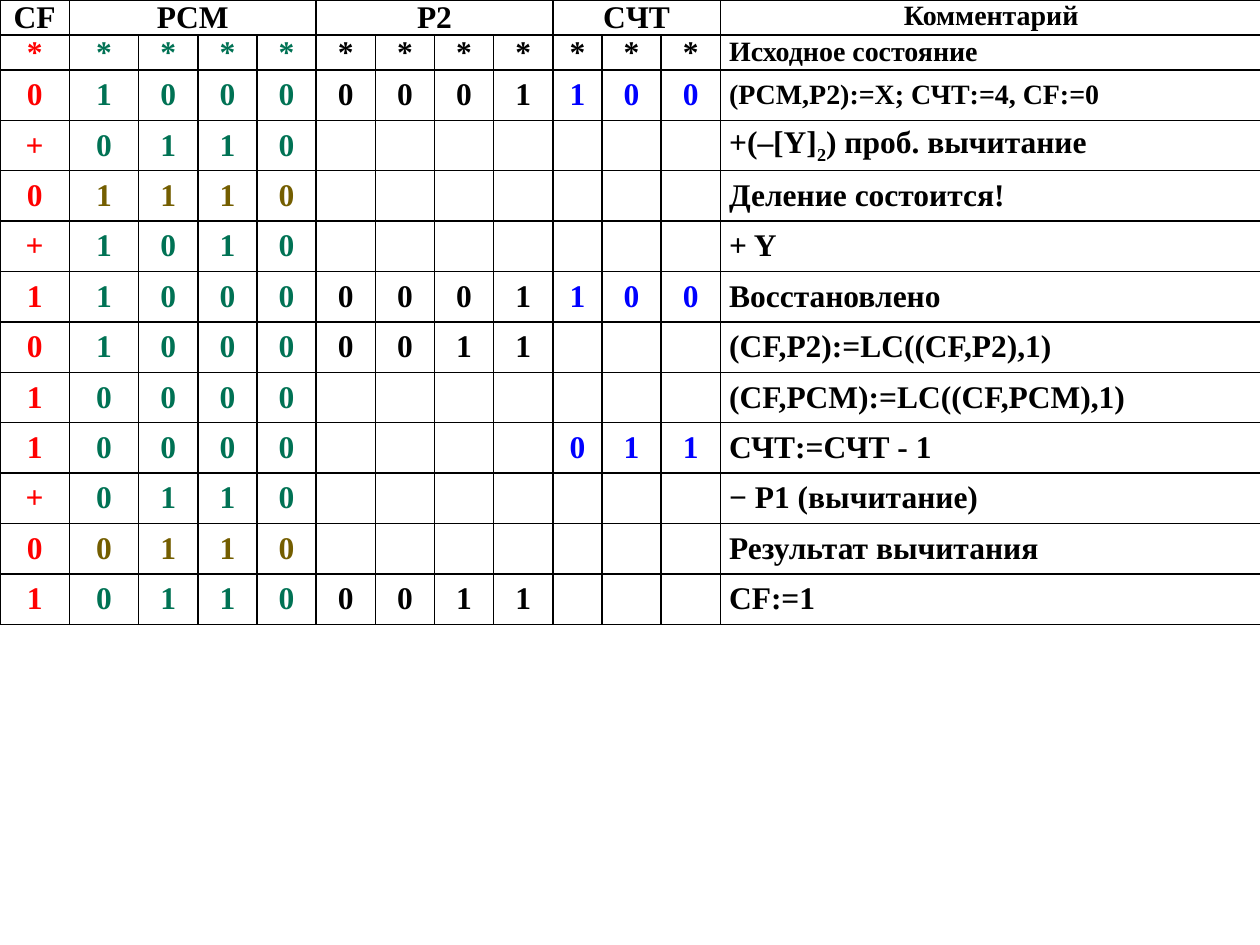
"""Build a slide tracing binary division register by register in one table."""
from lxml import etree
from pptx import Presentation
from pptx.dml.color import RGBColor
from pptx.enum.text import MSO_ANCHOR, PP_ALIGN
from pptx.oxml.ns import qn
from pptx.util import Inches, Pt

CENTER, LEFT = PP_ALIGN.CENTER, PP_ALIGN.LEFT
TOP, MIDDLE = MSO_ANCHOR.TOP, MSO_ANCHOR.MIDDLE
FONT = "Times New Roman"
COLORS = {
    "black": "000000",
    "red": "FF0000",
    "green": "007254",
    "brown": "745E00",
    "blue": "0000FF",
}
HEADS = [(0, 1, "CF"), (1, 4, "PCM"), (5, 4, "P2"), (9, 3, "CЧТ"), (12, 1, "Комментарий")]
STEPS = [
    ("************", "Исходное состояние"),
    ("010000001100", "(РСМ,Р2):=Х; СЧТ:=4, CF:=0"),
    ("+0110", "+(–[Y]|2|) проб. вычитание"),
    ("01110", "Деление состоится!"),
    ("+1010", "+ Y"),
    ("110000001100", "Восстановлено"),
    ("010000011", "(CF,P2):=LC((CF,P2),1)"),
    ("10000", "(CF,PСМ):=LC((CF,PСМ),1)"),
    ("10000    011", "СЧТ:=СЧТ - 1"),
    ("+0110", "− Р1 (вычитание)"),
    ("00110", "Результат вычитания"),
    ("101100011", "CF:=1"),
]
SUMS = (4, 11)
WIDTHS = [0.55, 0.55] + [0.47] * 7 + [0.39, 0.47, 0.47, 4.3]
HEIGHTS = [0.27] * 2 + [0.4] * 11


def write(cell, text, color="black", size=18, align=CENTER, anchor=MIDDLE):
    cell.vertical_anchor = anchor
    para = cell.text_frame.paragraphs[0]
    para.alignment = align
    para.space_after = Pt(1)
    for i, part in enumerate(text.split("|")):
        run = para.add_run()
        run.text = part
        run.font.name = FONT
        run.font.size = Pt(size)
        run.font.bold = True
        run.font.color.rgb = RGBColor.from_string(COLORS[color])
        if i % 2:
            run._r.get_or_add_rPr().set("baseline", "-25000")


def frame(cell):
    cell.margin_left = cell.margin_right = Inches(0.07)
    cell.margin_top = cell.margin_bottom = 0
    cell.fill.background()
    props = cell._tc.get_or_add_tcPr()
    for i, side in enumerate(("lnL", "lnR", "lnT", "lnB")):
        line = etree.Element(qn(f"a:{side}"), w=str(Pt(1)))
        fill = etree.SubElement(line, qn("a:solidFill"))
        etree.SubElement(fill, qn("a:srgbClr"), val=COLORS["black"])
        props.insert(i, line)


prs = Presentation()
prs.slide_width, prs.slide_height = Inches(10), Inches(7.5)
slide = prs.slides.add_slide(prs.slide_layouts[6])
shape = slide.shapes.add_table(len(HEIGHTS), len(WIDTHS), 0, 0, Inches(10), Inches(4.95))
table = shape.table
table.first_row = table.horz_banding = False
for col, width in zip(table.columns, WIDTHS):
    col.width = Inches(width)
for row, height in zip(table.rows, HEIGHTS):
    row.height = Inches(height)
for cell in table.iter_cells():
    frame(cell)

for start, span, name in HEADS:
    cell = table.cell(0, start)
    if span > 1:
        cell.merge(table.cell(0, start + span - 1))
    write(cell, name, size=16 if start == 12 else 18, anchor=TOP)

for r, (bits, note) in enumerate(STEPS, 1):
    main = "brown" if r in SUMS else "green"
    count = "black" if r == 1 else "blue"
    tints = ["red"] + [main] * 4 + ["black"] * 4 + [count] * 3
    for c, (bit, tint) in enumerate(zip(bits, tints)):
        if bit != " ":
            write(table.cell(r, c), bit, tint)
    write(table.cell(r, 12), note, size=16 if r < 3 else 18, align=LEFT)

prs.save("out.pptx")
